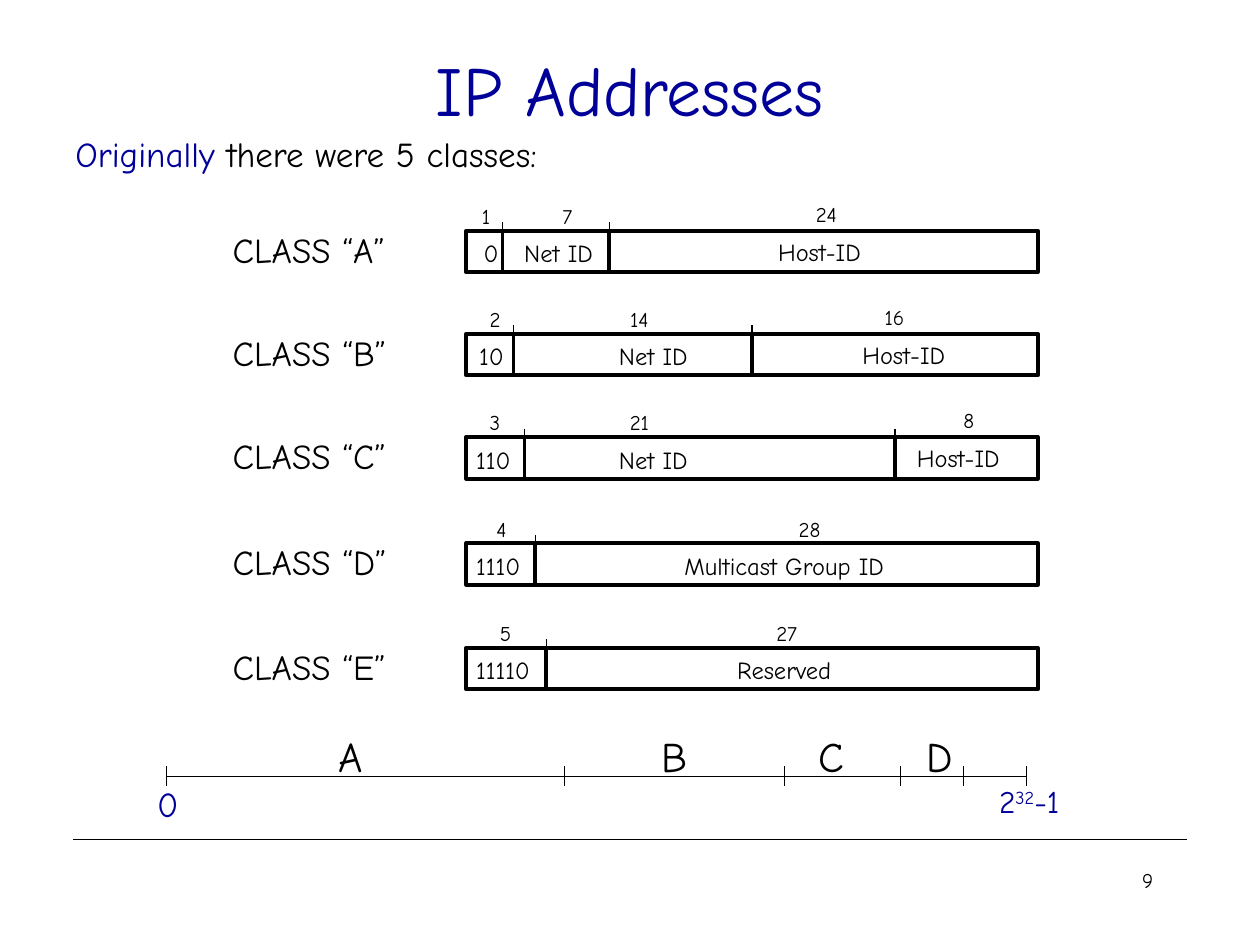
from lxml import etree
from pptx import Presentation
from pptx.dml.color import RGBColor
from pptx.enum import shapes, text
from pptx.oxml import ns
from pptx.util import Cm, Pt

FONT = "Comic Neue"
BLACK = RGBColor(0x00, 0x00, 0x00)
NAVY = RGBColor(0x00, 0x00, 0x99)
LEFT, CENTER, RIGHT = text.PP_ALIGN.LEFT, text.PP_ALIGN.CENTER, text.PP_ALIGN.RIGHT

# Content: lengths in cm; a field is (name, name centre, bit count, count centre)
TITLE = "IP Addresses"
INTRO = [("Originally", NAVY), (" there were 5 classes:", BLACK)]
HOST = "Host-ID"
CLASSES = [
    dict(letter="A", top=4.65, prefix=("0", 9.75, 1, 9.8),
         fields=[("Net ID", 11.26, 7, 11.44), (HOST, 16.52, 24, 16.66)]),
    dict(letter="B", top=6.73, prefix=("10", 9.66, 2, 9.98),
         fields=[("Net ID", 13.17, 14, 12.89), (HOST, 18.22, 16, 18.03)]),
    dict(letter="C", top=8.81, prefix=("110", 9.6, 3, 9.98),
         fields=[("Net ID", 13.17, 21, 12.89), (HOST, 19.32, 8, 19.53)]),
    dict(letter="D", top=10.95, prefix=("1110", 9.6, 4, 10.11),
         fields=[("Multicast Group ID", 15.81, 28, 16.32)]),
    dict(letter="E", top=13.06, prefix=("11110", 9.6, 5, 10.19),
         fields=[("Reserved", 15.81, 27, 15.86)]),
]
SCALE_TICKS = [3.35, 11.38, 15.82, 18.16, 19.43, 20.7]
SCALE_LETTERS = [("A", 6.58), ("B", 13.08), ("C", 16.26), ("D", 18.42)]

# Layout of the address bars
BAR_LEFT, BAR_HEIGHT, BIT = 9.4, 0.84, 0.36
BAR_RIGHT = BAR_LEFT + 32 * BIT
PREFIX_END, PREFIX_STEP = 10.13, 0.22
SCALE_Y = 15.65

presentation = Presentation()
presentation.slide_width, presentation.slide_height = Cm(25.4), Cm(19.05)
slide = presentation.slides.add_slide(presentation.slide_layouts[5])


def add_text(runs, left, top, width, height, size, align=LEFT, color=BLACK,
             middle=False, inset=0.25, wrap=True):
    """Add a text box; runs is a string or a list of (text, color)."""
    box = slide.shapes.add_textbox(Cm(left), Cm(top), Cm(width), Cm(height))
    frame = box.text_frame
    frame.word_wrap = wrap
    frame.margin_left = frame.margin_right = Cm(inset)
    if middle:
        frame.vertical_anchor = text.MSO_ANCHOR.MIDDLE
    paragraph = frame.paragraphs[0]
    paragraph.alignment = align
    paragraph.font.name, paragraph.font.size = FONT, Pt(size)
    for words, run_color in [(runs, color)] if isinstance(runs, str) else runs:
        run = paragraph.add_run()
        run.text = words
        run.font.color.rgb = run_color
    return paragraph


def add_centered(words, center, top, width, size):
    add_text(words, center - width / 2, top, width, BAR_HEIGHT, size, CENTER,
             middle=True, inset=0)


def add_line(x1, y1, x2, y2, weight=0.75):
    line = slide.shapes.add_connector(shapes.MSO_CONNECTOR.STRAIGHT,
                                      Cm(x1), Cm(y1), Cm(x2), Cm(y2))
    line.line.color.rgb = BLACK
    line.line.width = Pt(weight)
    etree.SubElement(line._element.spPr, ns.qn("a:effectLst"))


def add_bar(left, right, top):
    bar = slide.shapes.add_shape(shapes.MSO_SHAPE.RECTANGLE, Cm(left), Cm(top),
                                 Cm(right - left), Cm(BAR_HEIGHT))
    bar.shadow.inherit = False
    bar.fill.background()
    bar.line.color.rgb = BLACK
    bar.line.width = Pt(2.25)


# Title and introduction
title = slide.shapes.title
title.left, title.top, title.width, title.height = Cm(1.9), Cm(0.2), Cm(21.6), Cm(3.18)
title.text_frame.text = TITLE
title.text_frame.auto_size = text.MSO_AUTO_SIZE.NONE
title.text_frame.vertical_anchor = text.MSO_ANCHOR.MIDDLE
heading = title.text_frame.paragraphs[0]
heading.alignment = CENTER
heading.font.name, heading.font.size, heading.font.color.rgb = FONT, Pt(40), NAVY
add_text(INTRO, 1.27, 2.54, 19.9, 1.11, 20)

# One address bar for each class
for index, row in enumerate(CLASSES):
    top = row["top"]
    prefix, prefix_left, prefix_bits, prefix_center = row["prefix"]
    fields = row["fields"]
    prefix_end = PREFIX_END + index * PREFIX_STEP
    add_text(f"CLASS “{row['letter']}”", 4.44, top - 0.17, 4.24, 1.11, 20)

    edges = [prefix_end]
    if len(fields) == 2:
        edges.append(BAR_RIGHT - fields[1][2] * BIT)
        add_line(prefix_end, top, prefix_end, top + BAR_HEIGHT, 1.5)
    add_bar(BAR_LEFT, edges[-1], top)
    add_bar(edges[-1], BAR_RIGHT, top)
    for edge in edges:
        add_line(edge, top - 0.17, edge, top + 0.08)

    add_text(prefix, prefix_left, top + 0.03, 1.6, BAR_HEIGHT, 14,
             middle=True, inset=0)
    add_centered(str(prefix_bits), prefix_center, top - 0.71, 0.76, 12)
    for name, center, bits, bits_center in fields:
        is_host = name == HOST
        add_centered(name, center, top + (0 if is_host else 0.03),
                     2.57 if len(fields) == 2 else 6.17, 14)
        add_centered(str(bits), bits_center, top - (0.76 if is_host else 0.71), 1.24, 12)

# Scale of the whole address space
add_line(SCALE_TICKS[0], SCALE_Y, SCALE_TICKS[-1], SCALE_Y)
for x in SCALE_TICKS:
    add_line(x, SCALE_Y - 0.2, x, SCALE_Y + 0.2)
for letter, left in SCALE_LETTERS:
    add_text(letter, left, 14.6, 1.02, 1.27, 24, wrap=False)
add_text("0", 2.92, SCALE_Y, 0.94, 1.11, 20, color=NAVY, wrap=False)
last = add_text([("2", NAVY), ("32", NAVY), ("-1", NAVY)],
                19.89, SCALE_Y, 1.73, 1.02, 18, wrap=False)
last.runs[1]._r.get_or_add_rPr().set("baseline", "30000")

# Footer
add_line(1.48, 16.93, 23.92, 16.93)
add_text("9", 18.2, 17.36, 5.3, 1.27, 12, RIGHT)

presentation.save("out.pptx")
